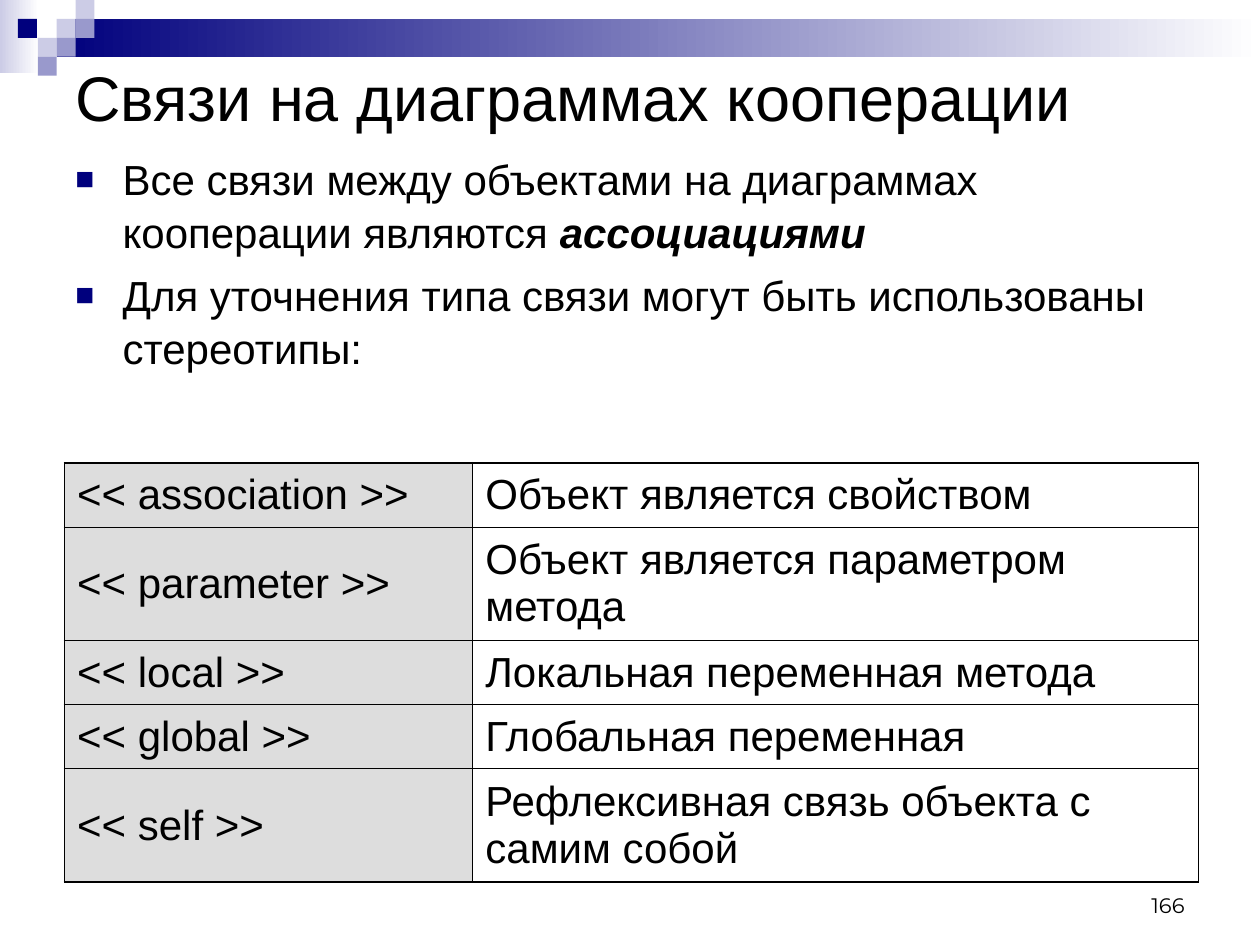
"""Build the slide about links on collaboration diagrams."""
from lxml import etree
from pptx import Presentation
from pptx.dml.color import RGBColor
from pptx.enum import shapes, text
from pptx.oxml import ns
from pptx.util import Pt

TITLE = "Связи на диаграммах кооперации"
BULLETS = [
    [("Все связи между объектами на диаграммах кооперации являются ", False),
     ("ассоциациями", True)],
    [("Для уточнения типа связи могут быть использованы стереотипы:", False)],
]
STEREOTYPES = [
    ("<< association >>", "Объект является свойством", 36.72),
    ("<< parameter >>", "Объект является параметром метода", 64.8),
    ("<< local >>", "Локальная переменная метода", 36.72),
    ("<< global >>", "Глобальная переменная", 36.72),
    ("<< self >>", "Рефлексивная связь объекта с самим собой", 64.8),
]
PAGE = "166"
COLUMNS = [233.28, 414.72]
NAVY, VIOLET, PALE = "00007D", "9999CC", "CCCCE6"
BLACK, WHITE, GREY = "000000", "FFFFFF", "DDDDDD"
STEP = 10.8
BANDS = [(0, 0, 22.3, 41.8, PALE), (32.4, STEP, 687.6, 21.6, NAVY)]
SQUARES = [(3, 1, PALE), (4, 0, PALE), (4, 1, VIOLET), (2, 2, PALE),
           (0.95, 1, NAVY), (3, 2, VIOLET), (2, 3, VIOLET)]


def rgb(value):
    return RGBColor.from_string(value)


def style(font, size, name="Arial"):
    font.size, font.name = Pt(size), name
    font.color.rgb = rgb(BLACK)


def add_rect(s, left, top, width, height, color, fade=False):
    box = s.shapes.add_shape(shapes.MSO_SHAPE.RECTANGLE,
                             Pt(left), Pt(top), Pt(width), Pt(height))
    box.shadow.inherit = False
    box.line.fill.background()
    if fade:
        box.fill.gradient()
        box.fill.gradient_angle = 0
        for stop, value in zip(box.fill.gradient_stops, (color, WHITE)):
            stop.color.rgb = rgb(value)
    else:
        box.fill.solid()
        box.fill.fore_color.rgb = rgb(color)


def add_text(s, left, top, width, height, anchor):
    tf = s.shapes.add_textbox(Pt(left), Pt(top), Pt(width), Pt(height)).text_frame
    tf.word_wrap = True
    tf.vertical_anchor = anchor
    return tf


def sub(parent, tag, **attrs):
    return etree.SubElement(parent, ns.qn(tag), **attrs)


def add_bullet(p):
    pPr = p._p.get_or_add_pPr()
    pPr.set("marL", str(Pt(27)))
    pPr.set("indent", str(Pt(-27)))
    sub(sub(pPr, "a:buClr"), "a:srgbClr", val=NAVY)
    sub(pPr, "a:buSzPct", val="75000")
    sub(pPr, "a:buFont", typeface="Arial")
    sub(pPr, "a:buChar", char="■")


def set_borders(cell, outer):
    tcPr = cell._tc.get_or_add_tcPr()
    for i, side in enumerate(("a:lnL", "a:lnR", "a:lnT", "a:lnB")):
        ln = etree.Element(ns.qn(side), w=str(Pt(1.08 if outer[i] else 0.45)))
        sub(sub(ln, "a:solidFill"), "a:srgbClr", val=BLACK)
        tcPr.insert(i, ln)


def add_stereotypes(s):
    rows, cols = len(STEREOTYPES), len(COLUMNS)
    heights = [row[-1] for row in STEREOTYPES]
    table = s.shapes.add_table(rows, cols, Pt(36.9), Pt(264.4),
                               Pt(sum(COLUMNS)), Pt(sum(heights))).table
    table.first_row = table.horz_banding = False
    for column, width in zip(table.columns, COLUMNS):
        column.width = Pt(width)
    for r, (*words, height) in enumerate(STEREOTYPES):
        table.rows[r].height = Pt(height)
        for c, word in enumerate(words):
            cell = table.cell(r, c)
            cell.text_frame.text = word
            style(cell.text_frame.paragraphs[0].runs[0].font, 24)
            cell.vertical_anchor = text.MSO_ANCHOR.MIDDLE
            cell.fill.solid()
            cell.fill.fore_color.rgb = rgb(WHITE if c else GREY)
            set_borders(cell, (c == 0, c == cols - 1, r == 0, r == rows - 1))


def main():
    prs = Presentation()
    prs.slide_width, prs.slide_height = Pt(720), Pt(540)
    s = prs.slides.add_slide(prs.slide_layouts[6])
    for band in BANDS:
        add_rect(s, *band, fade=True)
    for col, row, color in SQUARES:
        add_rect(s, col * STEP, row * STEP, STEP, STEP, color)

    tf = add_text(s, 36, 31.7, 648, 46.8, text.MSO_ANCHOR.MIDDLE)
    tf.text = TITLE
    style(tf.paragraphs[0].runs[0].font, 36)

    tf = add_text(s, 36, 82.8, 648, 146.9, text.MSO_ANCHOR.TOP)
    for i, parts in enumerate(BULLETS):
        p = tf.add_paragraph() if i else tf.paragraphs[0]
        p.line_spacing = 1.05
        if i:
            p.space_before = Pt(6)
        add_bullet(p)
        for words, strong in parts:
            r = p.add_run()
            r.text = words
            style(r.font, 24)
            r.font.bold = r.font.italic = strong

    add_stereotypes(s)

    tf = add_text(s, 516.2, 491.8, 167.8, 36, text.MSO_ANCHOR.BOTTOM)
    tf.text = PAGE
    p = tf.paragraphs[0]
    p.alignment = text.PP_ALIGN.RIGHT
    style(p.runs[0].font, 12, "Montserrat")
    prs.save("out.pptx")


if __name__ == "__main__":
    main()
